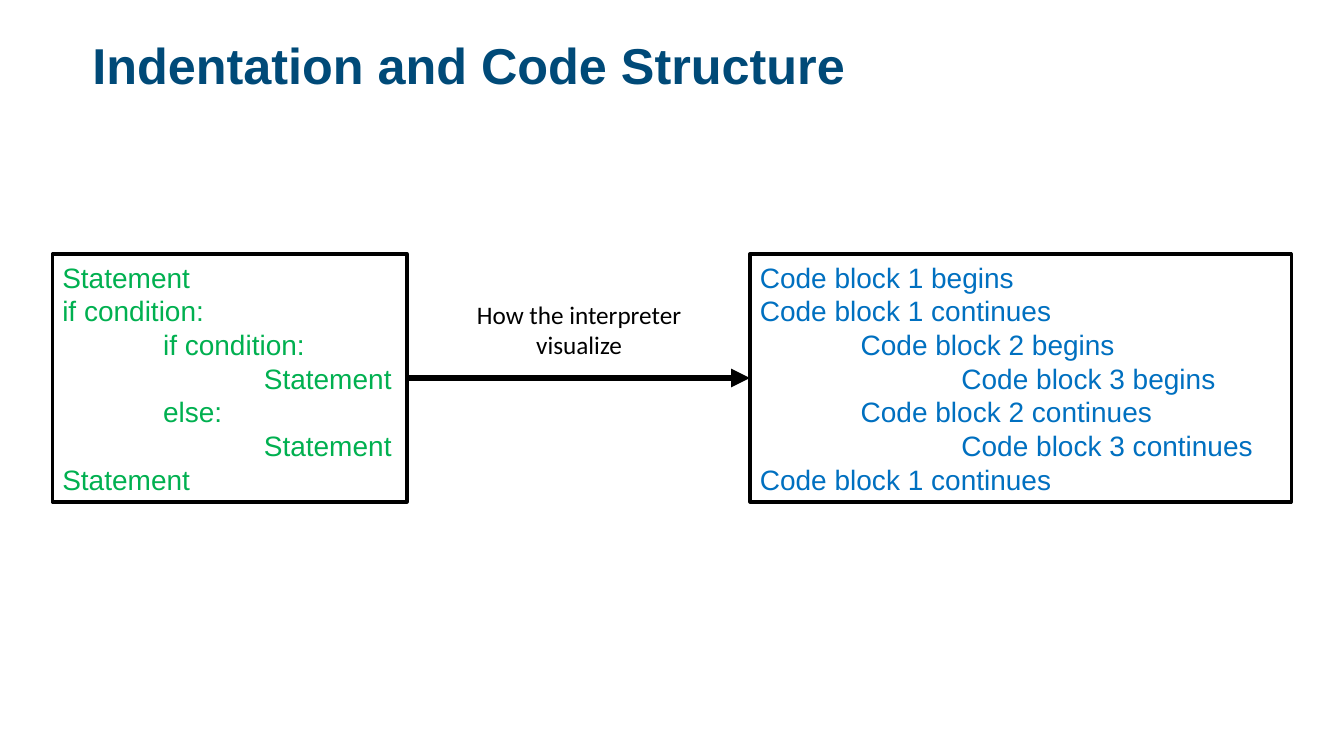
"""Build a slide on how indentation maps to code blocks."""
from dataclasses import dataclass

from lxml import etree
from pptx import Presentation
from pptx.dml.color import RGBColor
from pptx.enum.shapes import MSO_CONNECTOR, MSO_SHAPE
from pptx.enum.text import MSO_ANCHOR, MSO_AUTO_SIZE, PP_ALIGN
from pptx.oxml.ns import qn
from pptx.slide import Slide
from pptx.util import Cm, Pt

RECTANGLE = MSO_SHAPE.RECTANGLE
STRAIGHT = MSO_CONNECTOR.STRAIGHT
TOP, MIDDLE = MSO_ANCHOR.TOP, MSO_ANCHOR.MIDDLE
LEFT, CENTER = PP_ALIGN.LEFT, PP_ALIGN.CENTER
NO_AUTOFIT = MSO_AUTO_SIZE.NONE
TITLE_ONLY = 5

BLACK = "000000"
PANEL_TOP, PANEL_HEIGHT = 6.4, 6.25
INDENT_STEP = 2.54
RIGHT_SIDE, LEFT_SIDE = 3, 1


@dataclass(frozen=True)
class CodeLine:
    text: str
    depth: int = 0


@dataclass(frozen=True)
class CodePanel:
    left: float
    width: float
    color: str
    lines: tuple[CodeLine, ...]


SOURCE_CODE = CodePanel(1.32, 8.94, "00B050", (
    CodeLine("Statement"),
    CodeLine("if condition:"),
    CodeLine("if condition:", 1),
    CodeLine("Statement", 2),
    CodeLine("else:", 1),
    CodeLine("Statement", 2),
    CodeLine("Statement"),
))
CODE_BLOCKS = CodePanel(18.9, 13.64, "0070C0", (
    CodeLine("Code block 1 begins"),
    CodeLine("Code block 1 continues"),
    CodeLine("Code block 2 begins", 1),
    CodeLine("Code block 3 begins", 2),
    CodeLine("Code block 2 continues", 1),
    CodeLine("Code block 3 continues", 2),
    CodeLine("Code block 1 continues"),
))


def rgb(color: str) -> RGBColor:
    return RGBColor.from_string(color)


def set_font(paragraph, name: str, size: float, color: str, bold: bool = False) -> None:
    font = paragraph.font
    font.name, font.size, font.bold = name, Pt(size), bold
    font.color.rgb = rgb(color)


def add_heading(slide: Slide, text: str) -> None:
    heading = slide.shapes.title
    heading.left, heading.top = Cm(2.33), Cm(1.02)
    heading.width, heading.height = Cm(29.21), Cm(1.88)
    frame = heading.text_frame
    frame.text = text
    frame.auto_size = NO_AUTOFIT
    frame.vertical_anchor = TOP
    frame.margin_left = frame.margin_right = frame.margin_top = frame.margin_bottom = 0
    paragraph = frame.paragraphs[0]
    paragraph.alignment = LEFT
    paragraph.line_spacing = 0.9
    set_font(paragraph, "Arial", 36, "004A78", bold=True)


def add_panel(slide: Slide, panel: CodePanel):
    box = slide.shapes.add_shape(
        RECTANGLE, Cm(panel.left), Cm(PANEL_TOP), Cm(panel.width), Cm(PANEL_HEIGHT))
    box.shadow.inherit = False
    box.fill.background()
    box.line.color.rgb = rgb(BLACK)
    box.line.width = Pt(2.25)
    frame = box.text_frame
    frame.word_wrap = True
    frame.vertical_anchor = MIDDLE
    frame.text = "\n".join(line.text for line in panel.lines)
    for paragraph, line in zip(frame.paragraphs, panel.lines):
        paragraph.alignment = LEFT
        set_font(paragraph, "Arial", 20, panel.color)
        if line.depth:
            properties = paragraph._p.get_or_add_pPr()
            properties.set("marL", str(Cm(INDENT_STEP * line.depth)))
    return box


def add_arrow(slide: Slide, start, end) -> None:
    arrow = slide.shapes.add_connector(STRAIGHT, 0, 0, 0, 0)
    arrow.begin_connect(start, RIGHT_SIDE)
    arrow.end_connect(end, LEFT_SIDE)
    arrow.line.color.rgb = rgb(BLACK)
    arrow.line.width = Pt(4.5)
    properties = arrow._element.spPr
    outline = properties.find(qn("a:ln"))
    etree.SubElement(outline, qn("a:tailEnd"), type="triangle")
    etree.SubElement(properties, qn("a:effectLst"))


def add_caption(slide: Slide, text: str) -> None:
    caption = slide.shapes.add_textbox(Cm(11.28), Cm(7.42), Cm(6.63), Cm(1.8))
    frame = caption.text_frame
    frame.word_wrap = True
    frame.text = text
    paragraph = frame.paragraphs[0]
    paragraph.alignment = CENTER
    set_font(paragraph, "Calibri", 18, BLACK)


def main() -> None:
    presentation = Presentation()
    presentation.slide_width, presentation.slide_height = Cm(33.87), Cm(19.05)
    slide = presentation.slides.add_slide(presentation.slide_layouts[TITLE_ONLY])
    add_heading(slide, "Indentation and Code Structure")
    source_box = add_panel(slide, SOURCE_CODE)
    blocks_box = add_panel(slide, CODE_BLOCKS)
    add_arrow(slide, source_box, blocks_box)
    add_caption(slide, "How the interpreter visualize")
    presentation.save("out.pptx")


if __name__ == "__main__":
    main()
